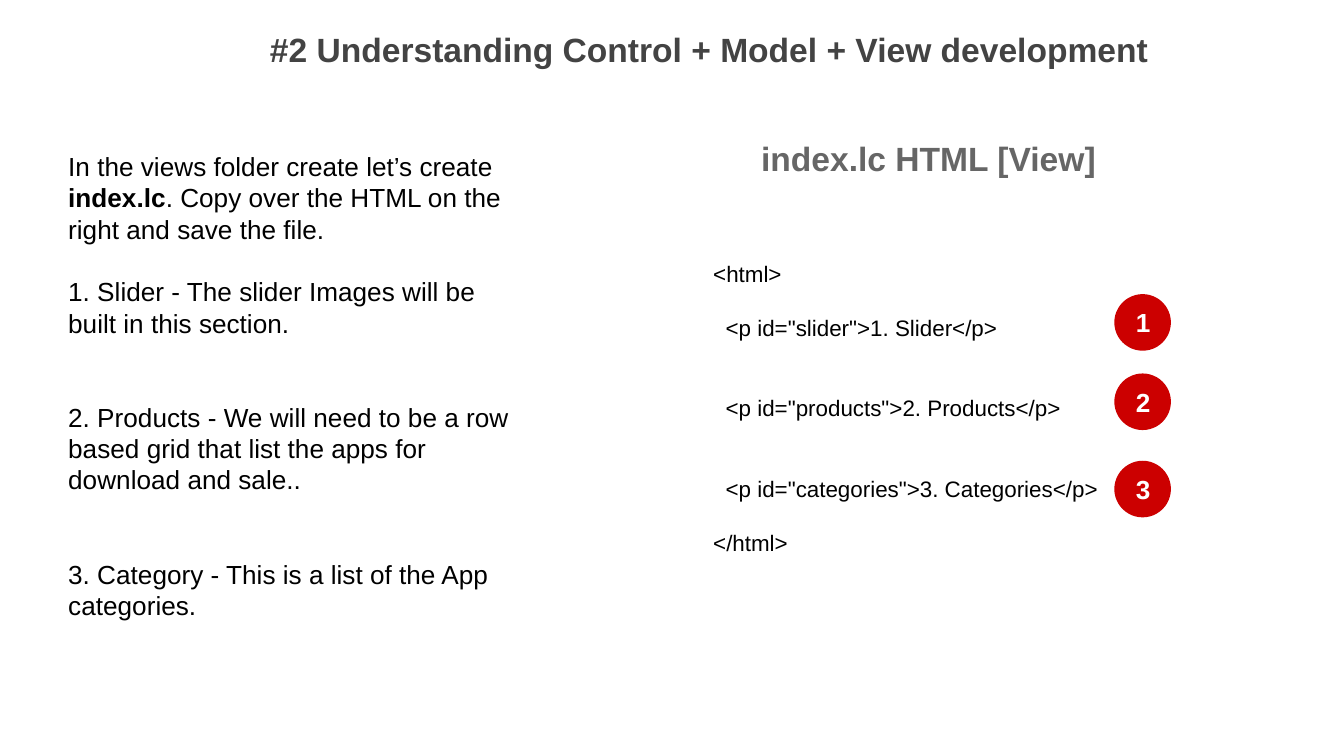
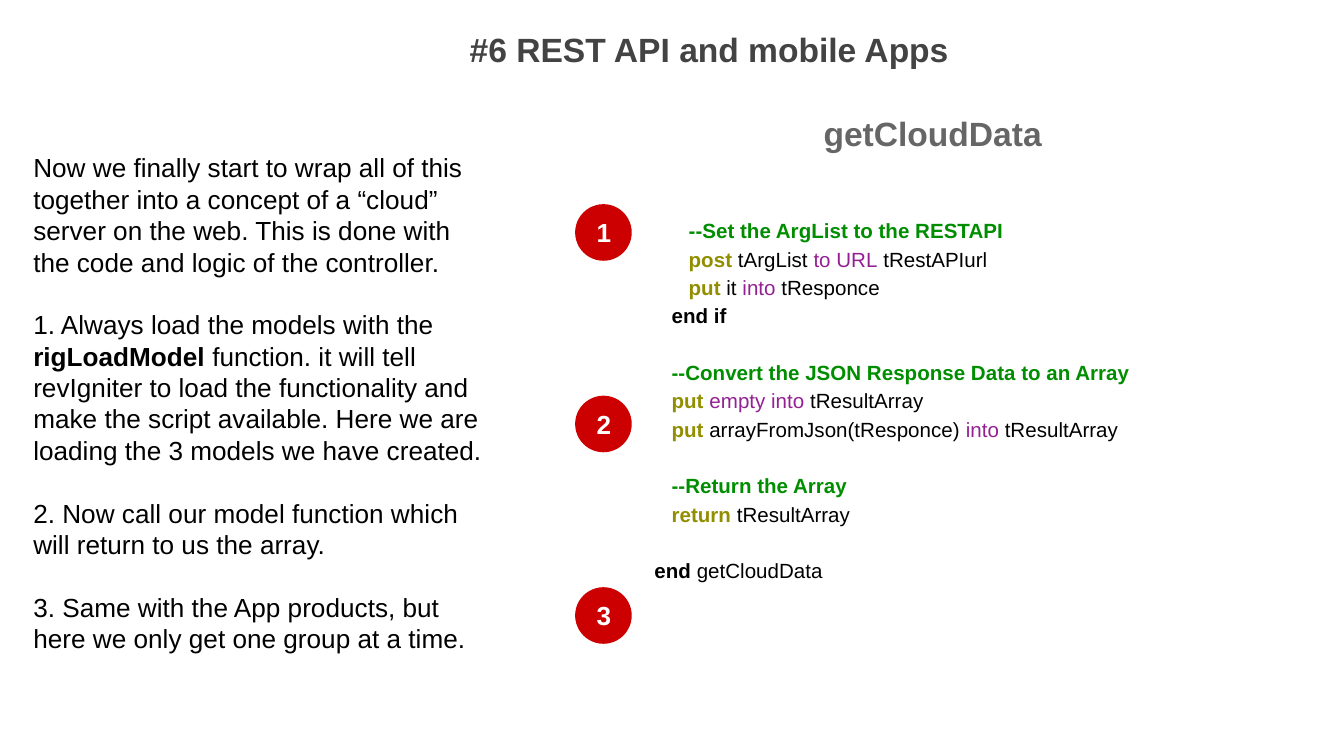
"""Build two tutorial slides: explanation left, code right, numbered badges."""
from pptx import Presentation
from pptx.dml.color import RGBColor
from pptx.enum.shapes import MSO_SHAPE
from pptx.enum.text import MSO_ANCHOR, PP_ALIGN
from pptx.util import Cm, Pt

FONT = "Arial"
INSET = 0.25
BADGE = 1.07
LINE = 1.2
SPACE = 0.278
TITLE_BOX = (1.96, 0.3, 22.89, 1.8)

STYLES = {
    "plain": ("000000", False),
    "bold": ("000000", True),
    "comment": ("008E00", True),
    "command": ("918F00", True),
    "keyword": ("932192", False),
    "title": ("434343", True),
    "subtitle": ("666666", True),
    "badge": ("FFFFFF", True),
}

# Each line is (blank lines above, indent in spaces, runs); a run is a string or (text, style).
SLIDES = [
    {
        "title": "#2 Understanding Control + Model + View development",
        "subtitle": ("index.lc HTML [View]", (12.04, 2.36, 11.02, 1.47)),
        "notes_box": (1.04, 2.59, 9.17, 11),
        "notes": [
            (0, 0, ["In the views folder create let’s create ", ("index.lc", "bold"),
                    ". Copy over the HTML on the right and save the file."]),
            (1, 0, ["1. Slider - The slider Images will be built in this section."]),
            (2, 0, ["2. Products - We will need to be a row based grid that list "
                    "the apps for download and sale.."]),
            (2, 0, ["3. Category - This is a list of the App categories."]),
        ],
        "code_box": (13.23, 4.67, 9.17, 5.44),
        "code_format": {"size": 12},
        "code": [
            (0, 0, ["<html>"]),
            (1, 2, ['<p id="slider">1. Slider</p>']),
            (2, 2, ['<p id="products">2. Products</p>']),
            (2, 2, ['<p id="categories">3. Categories</p>']),
            (1, 0, ["</html>"]),
        ],
        "badges": (21.06, [5.56, 7.06, 8.71]),
    },
    {
        "title": "#6 REST API and mobile Apps",
        "subtitle": ("getCloudData", (12.12, 1.88, 11.02, 1.47)),
        "notes_box": (0.38, 2.62, 9.17, 11),
        "notes": [
            (0, 0, ["Now we finally start to wrap all of this together into a concept of a "
                    "“cloud” server on the web. This is done with the code and logic of "
                    "the controller."]),
            (1, 0, ["1. Always load the models with the ", ("rigLoadModel", "bold"),
                    " function. it will tell revIgniter to load the functionality and make "
                    "the script available. Here we are loading the 3 models we have created."]),
            (1, 0, ["2. Now call our model function which will return to us the array."]),
            (1, 0, ["3. Same with the App products, but here we only get one group at a time."]),
        ],
        "code_box": (12.12, 2.74, 13, 11),
        "code_format": {"size": 11, "spacing": 1.15, "top": 1.32},
        "code": [
            (0, 6, [("--Set the ArgList to the RESTAPI", "comment")]),
            (0, 6, [("post", "command"), " tArgList ", ("to URL", "keyword"), " tRestAPIurl"]),
            (0, 6, [("put", "command"), " it ", ("into", "keyword"), " tResponce"]),
            (0, 3, [("end if", "bold")]),
            (1, 3, [("--Convert the JSON Response Data to an Array", "comment")]),
            (0, 3, [("put ", "command"), ("empty into", "keyword"), " tResultArray"]),
            (0, 3, [("put", "command"), " arrayFromJson(tResponce) ", ("into", "keyword"),
                    " tResultArray"]),
            (1, 3, [("--Return the Array", "comment")]),
            (0, 3, [("return", "command"), " tResultArray"]),
            (1, 0, [("end", "bold"), " getCloudData"]),
        ],
        "badges": (10.87, [3.86, 7.48, 11.1]),
    },
]


def color(value):
    return RGBColor.from_string(value)


def write(sp, lines, size, align=None, spacing=None, top=INSET):
    tf = sp.text_frame
    tf.word_wrap = True
    tf.margin_left = tf.margin_right = tf.margin_bottom = Cm(INSET)
    tf.margin_top = Cm(top)
    for i, (gap, indent, runs) in enumerate(lines):
        p = tf.add_paragraph() if i else tf.paragraphs[0]
        p.alignment = align
        p.line_spacing = spacing
        p.space_before = Pt(round(gap * size * LINE * (spacing or 1), 1))
        if indent:
            pPr = p._p.get_or_add_pPr()
            pPr.set("marL", str(Pt(indent * SPACE * size)))
            pPr.set("indent", "0")
        for run in runs:
            text, style = (run, "plain") if isinstance(run, str) else run
            r = p.add_run()
            r.text = text
            r.font.name, r.font.size = FONT, Pt(size)
            rgb, r.font.bold = STYLES[style]
            r.font.color.rgb = color(rgb)


def add_text(s, box, lines, size, **options):
    write(s.shapes.add_textbox(*map(Cm, box)), lines, size, **options)


def add_heading(s, box, text, style):
    add_text(s, box, [(0, 0, [(text, style)])], 18, align=PP_ALIGN.CENTER)


def add_badge(s, x, y, number):
    sp = s.shapes.add_shape(MSO_SHAPE.OVAL, Cm(x), Cm(y), Cm(BADGE), Cm(BADGE))
    sp.shadow.inherit = False
    sp.fill.solid()
    sp.fill.fore_color.rgb = color("CC0000")
    sp.line.fill.background()
    sp.text_frame.vertical_anchor = MSO_ANCHOR.MIDDLE
    write(sp, [(0, 0, [(str(number), "badge")])], 14, align=PP_ALIGN.CENTER)


def main():
    prs = Presentation()
    prs.slide_width, prs.slide_height = Cm(25.4), Cm(14.29)
    for content in SLIDES:
        s = prs.slides.add_slide(prs.slide_layouts[6])
        add_heading(s, TITLE_BOX, content["title"], "title")
        add_text(s, content["notes_box"], content["notes"], 14)
        add_text(s, content["code_box"], content["code"], **content["code_format"])
        subtitle, box = content["subtitle"]
        add_heading(s, box, subtitle, "subtitle")
        x, tops = content["badges"]
        for number, y in enumerate(tops, 1):
            add_badge(s, x, y, number)
    prs.save("out.pptx")


if __name__ == "__main__":
    main()
